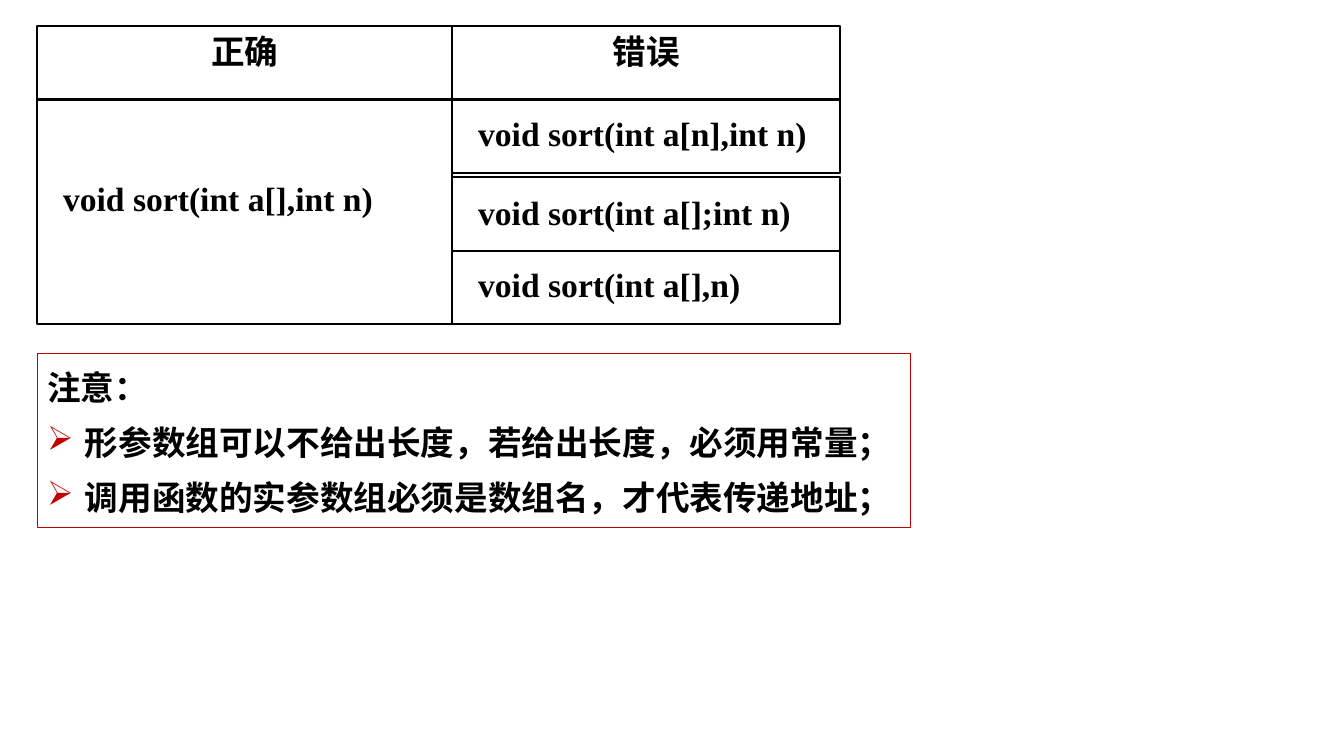
import pptx
import pptx.dml.color
import pptx.enum.shapes
import pptx.enum.text
import pptx.oxml
import pptx.oxml.ns
import pptx.util
from pptx.util import Cm

BLACK = pptx.dml.color.RGBColor(0x00, 0x00, 0x00)
RED = pptx.dml.color.RGBColor(0xC0, 0x00, 0x00)
ALIGN = pptx.enum.text.PP_ALIGN
CJK_FONT = "Noto Sans CJK SC"
CODE_FONT = "Times New Roman"

LEFT, TOP = 0.94, 0.66
CORRECT_WIDTH, WRONG_WIDTH = 10.46, 9.78
ROW_HEIGHT = 1.85
BODY_TOP = TOP + ROW_HEIGHT
BODY_HEIGHT = 5.66
WRONG_LEFT = LEFT + CORRECT_WIDTH
CELL_MARGIN = 0.4


def add_frame(shapes, left, top, width, height, color, line_width):
    frame = shapes.add_shape(
        pptx.enum.shapes.MSO_SHAPE.RECTANGLE, Cm(left), Cm(top), Cm(width), Cm(height)
    )
    frame.shadow.inherit = False
    frame.fill.background()
    frame.line.color.rgb = color
    frame.line.width = pptx.util.Pt(line_width)
    return frame


def style_paragraph(paragraph, text, font_name, alignment):
    paragraph.text = text
    paragraph.alignment = alignment
    font = paragraph.font
    font.name = font_name
    font.size = pptx.util.Pt(24)
    font.bold = True
    font.color.rgb = BLACK
    defaults = paragraph._p.pPr.find(pptx.oxml.ns.qn("a:defRPr"))
    east_asian = pptx.oxml.parse_xml(
        f'<a:ea {pptx.oxml.ns.nsdecls("a")} typeface="{CJK_FONT}"/>'
    )
    defaults.find(pptx.oxml.ns.qn("a:latin")).addnext(east_asian)


def add_cell(shapes, text, left, top, width, height, drop=0, alignment=ALIGN.JUSTIFY):
    label = shapes.add_textbox(
        Cm(left + CELL_MARGIN), Cm(top + drop), Cm(width - 2 * CELL_MARGIN), Cm(height)
    )
    label.text_frame.word_wrap = True
    style_paragraph(label.text_frame.paragraphs[0], text, CODE_FONT, alignment)
    add_frame(shapes, left, top, width, height, BLACK, 1.5)


def add_bullet(paragraph):
    properties = paragraph._p.pPr
    properties.set("marL", str(Cm(0.95)))
    properties.set("indent", str(-Cm(0.95)))
    defaults = properties.find(pptx.oxml.ns.qn("a:defRPr"))
    namespace = pptx.oxml.ns.nsdecls("a")
    for xml in (
        f'<a:buClr {namespace}><a:srgbClr val="{RED}"/></a:buClr>',
        f'<a:buChar {namespace} char="➢"/>',
    ):
        defaults.addprevious(pptx.oxml.parse_xml(xml))


def add_notice(shapes, heading, rules):
    notice = add_frame(shapes, LEFT, 8.92, 22, 4.37, RED, 0.75)
    text_frame = notice.text_frame
    text_frame.word_wrap = True
    text_frame.vertical_anchor = pptx.enum.text.MSO_ANCHOR.TOP
    for index, text in enumerate([heading, *rules]):
        paragraph = text_frame.add_paragraph() if index else text_frame.paragraphs[0]
        style_paragraph(paragraph, text, CJK_FONT, ALIGN.JUSTIFY)
        paragraph.line_spacing = 1.2
        paragraph.space_before = pptx.util.Pt(4.8)
        if index:
            add_bullet(paragraph)


def main():
    presentation = pptx.Presentation()
    presentation.slide_width = Cm(33.87)
    presentation.slide_height = Cm(19.05)
    slide = presentation.slides.add_slide(presentation.slide_layouts[6])

    comparison = slide.shapes.add_group_shape().shapes
    for heading, left, width in (
        ("正确", LEFT, CORRECT_WIDTH),
        ("错误", WRONG_LEFT, WRONG_WIDTH),
    ):
        add_cell(comparison, heading, left, TOP, width, ROW_HEIGHT, alignment=ALIGN.CENTER)
    add_cell(comparison, "void sort(int a[],int n)", LEFT, BODY_TOP,
             CORRECT_WIDTH, BODY_HEIGHT, drop=ROW_HEIGHT)
    for declaration, top, drop in (
        ("void sort(int a[n],int n)", BODY_TOP, 0.2),
        ("void sort(int a[];int n)", 4.47, 0.25),
        ("void sort(int a[],n)", 6.32, 0.2),
    ):
        add_cell(comparison, declaration, WRONG_LEFT, top, WRONG_WIDTH, ROW_HEIGHT, drop)

    add_notice(slide.shapes, "注意：", [
        "形参数组可以不给出长度，若给出长度，必须用常量；",
        "调用函数的实参数组必须是数组名，才代表传递地址；",
    ])
    presentation.save("out.pptx")


if __name__ == "__main__":
    main()
